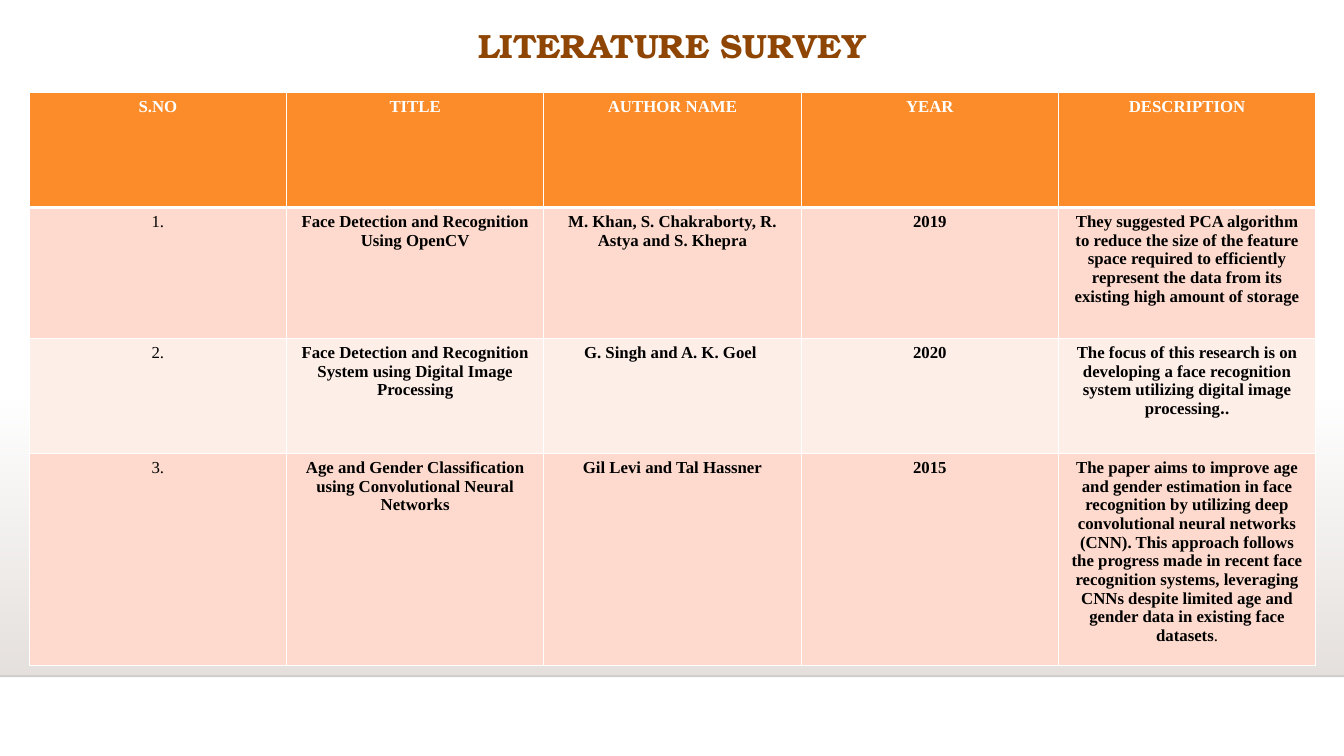
from lxml import etree
from pptx import Presentation
from pptx.dml.color import RGBColor
from pptx.enum.shapes import MSO_CONNECTOR, MSO_SHAPE
from pptx.enum.text import PP_ALIGN
from pptx.oxml.ns import qn
from pptx.util import Inches, Pt

RECT = MSO_SHAPE.RECTANGLE
STRAIGHT = MSO_CONNECTOR.STRAIGHT
CENTER = PP_ALIGN.CENTER

SERIF = "Times New Roman"
WIDE, HIGH = 13.33, 7.5
FLOOR = 6.71
GREY, WHITE, BLACK = "DFD9D5", "FFFFFF", "000000"
ORANGE, BROWN = "FB8C29", "8F4503"
BANDS = ["FDDACD", "FEEEE8"]

HEADS = ["S.NO", "TITLE", "AUTHOR NAME", "YEAR", "DESCRIPTION"]
PAPERS = [
    ["1.", "Face Detection and Recognition Using OpenCV",
     "M. Khan, S. Chakraborty, R. Astya and S. Khepra", "2019",
     "They suggested PCA algorithm to reduce the size of the feature space "
     "required to efficiently represent the data from its existing high "
     "amount of storage"],
    ["2.", "Face Detection and Recognition System using Digital Image Processing",
     "G. Singh and A. K. Goel ", "2020",
     "The focus of this research is on developing a face recognition system "
     "utilizing digital image processing"],
    ["3.", "Age and Gender Classification using Convolutional Neural Networks",
     "Gil Levi and Tal Hassner", "2015",
     "The paper aims to improve age and gender estimation in face recognition "
     "by utilizing deep convolutional neural networks (CNN). This approach "
     "follows the progress made in recent face recognition systems, leveraging "
     "CNNs despite limited age and gender data in existing face datasets"],
]
HEIGHTS = [1.14, 1.3, 1.14, 2.1]


def color(code):
    return RGBColor.from_string(code)


def set_alpha(node, percent):
    """Give a colour node an opacity."""
    etree.SubElement(node, qn("a:alpha"), val=str(percent * 1000))


def write(frame, text, font, size, code, bold=True):
    para = frame.paragraphs[0]
    para.alignment = CENTER
    para.font.name = font
    para.font.size = Pt(size)
    para.font.bold = bold
    para.font.color.rgb = color(code)
    para.add_run().text = text
    return para


def add_glow(slide, top, height):
    """Grey floor that fades out upwards."""
    glow = slide.shapes.add_shape(
        RECT, Inches(0), Inches(top), Inches(WIDE), Inches(height))
    glow.shadow.inherit = False
    glow.line.fill.background()
    glow.fill.gradient()
    glow.fill.gradient_angle = 270
    for stop in glow.fill.gradient_stops:
        stop.color.rgb = color(GREY)
    nodes = glow._element.spPr.iter(qn("a:srgbClr"))
    for node, percent in zip(list(nodes), [0, 80]):
        set_alpha(node, percent)


def add_rule(slide, top):
    rule = slide.shapes.add_connector(
        STRAIGHT, Inches(0), Inches(top), Inches(WIDE), Inches(top))
    rule.line.width = Pt(1)
    rule.line.color.rgb = color(BLACK)
    props = rule._element.spPr
    set_alpha(next(props.iter(qn("a:srgbClr"))), 20)
    etree.SubElement(props, qn("a:effectLst"))


def add_title(slide, text):
    box = slide.shapes.add_textbox(
        Inches(1.88), Inches(0.2), Inches(9.57), Inches(0.5))
    box.text_frame.word_wrap = True
    write(box.text_frame, text, "TeX Gyre Bonum", 24, BROWN)


def set_border(cell, base):
    props = cell._tc.get_or_add_tcPr()
    for side, width in zip("LRTB", [1, 1, 1, base]):
        line = etree.SubElement(props, qn("a:ln" + side), w=str(Pt(width)))
        fill = etree.SubElement(line, qn("a:solidFill"))
        etree.SubElement(fill, qn("a:srgbClr"), val=WHITE)


def fill_cell(cell, text, back, code, bold=True, base=1):
    set_border(cell, base)
    cell.fill.solid()
    cell.fill.fore_color.rgb = color(back)
    return write(cell.text_frame, text, SERIF, 12, code, bold)


def add_survey(slide):
    table = slide.shapes.add_table(
        len(HEIGHTS), len(HEADS), Inches(0.29), Inches(0.92),
        Inches(12.76), Inches(sum(HEIGHTS))).table
    table.horz_banding = False
    for row, height in zip(table.rows, HEIGHTS):
        row.height = Inches(height)

    # Header row
    for col, head in enumerate(HEADS):
        fill_cell(table.cell(0, col), head, ORANGE, WHITE, base=3)

    # One banded row per paper
    ends = []
    for row, paper in enumerate(PAPERS):
        for col, text in enumerate(paper):
            para = fill_cell(table.cell(row + 1, col), text,
                             BANDS[row % 2], BLACK, bold=col > 0)
        ends.append(para)

    # Closing stops with their own font or weight
    for row, font, bold in [(1, "League Spartan", True), (1, SERIF, True),
                            (2, SERIF, False)]:
        stop = ends[row].add_run()
        stop.text = "."
        stop.font.name = font
        stop.font.bold = bold


def main():
    deck = Presentation()
    deck.slide_width, deck.slide_height = Inches(WIDE), Inches(HIGH)
    slide = deck.slides.add_slide(deck.slide_layouts[6])

    # Backdrop
    add_glow(slide, 3.96, 2.74)
    add_rule(slide, FLOOR)

    # Content
    add_title(slide, "LITERATURE SURVEY")
    add_survey(slide)
    deck.save("out.pptx")


if __name__ == "__main__":
    main()
